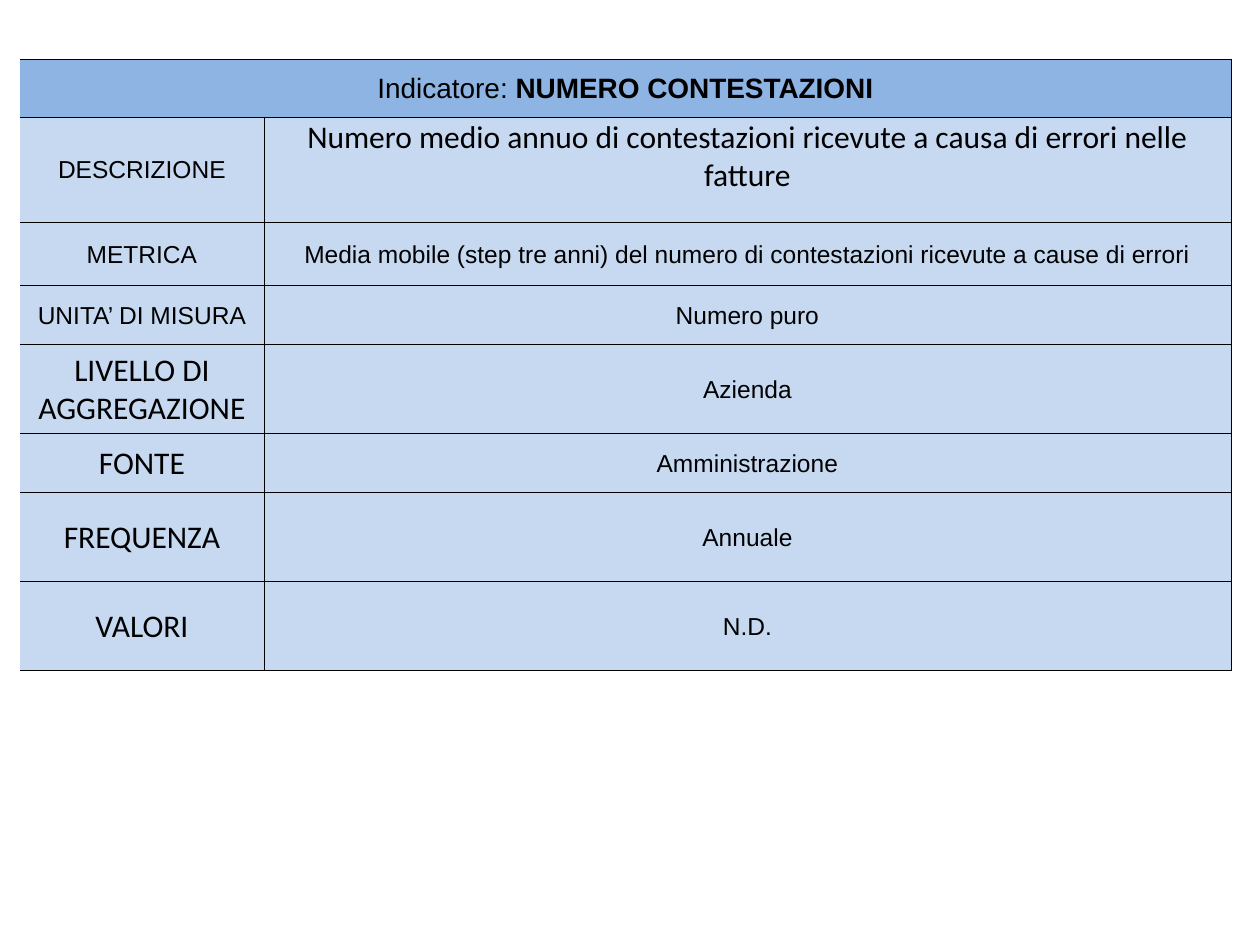
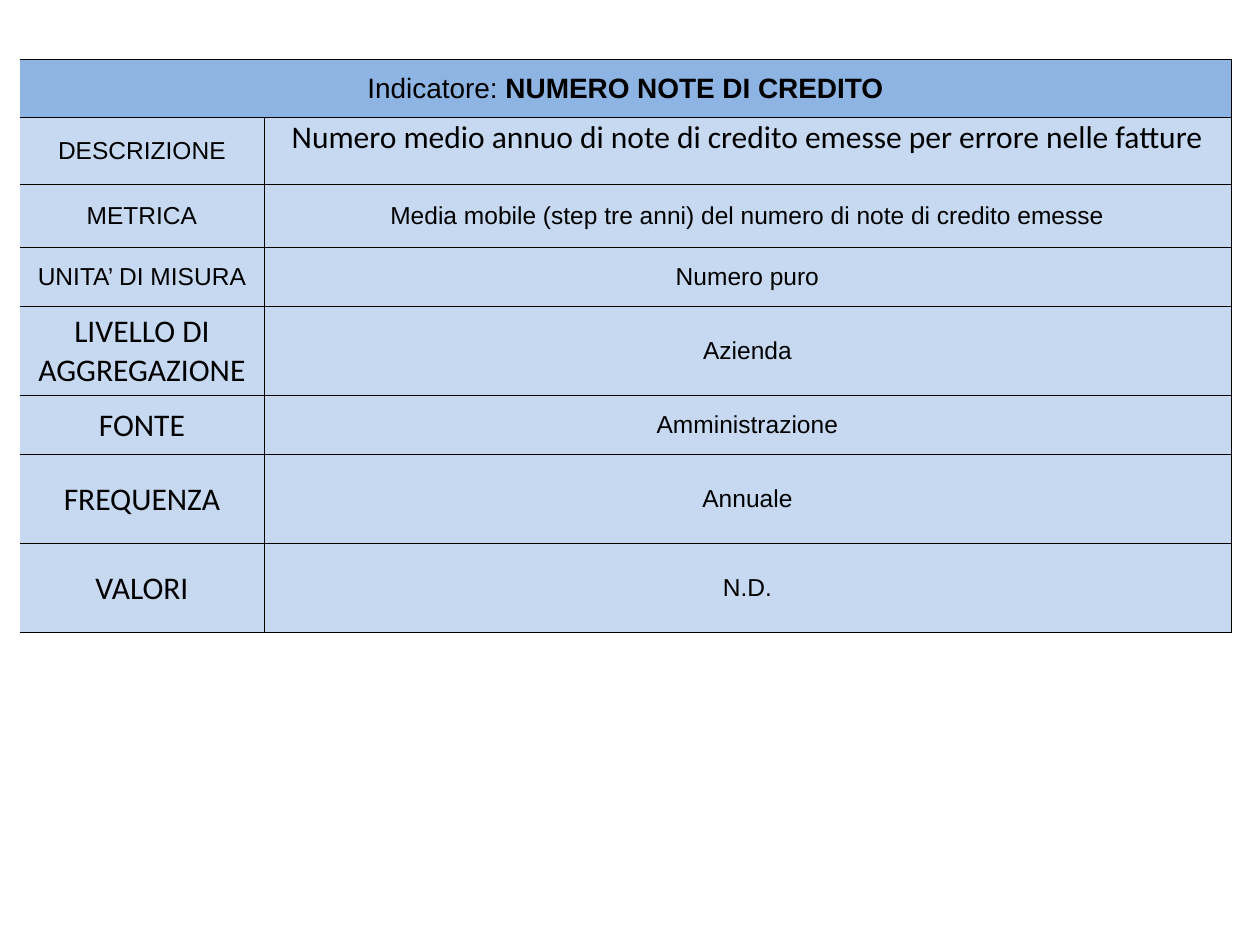
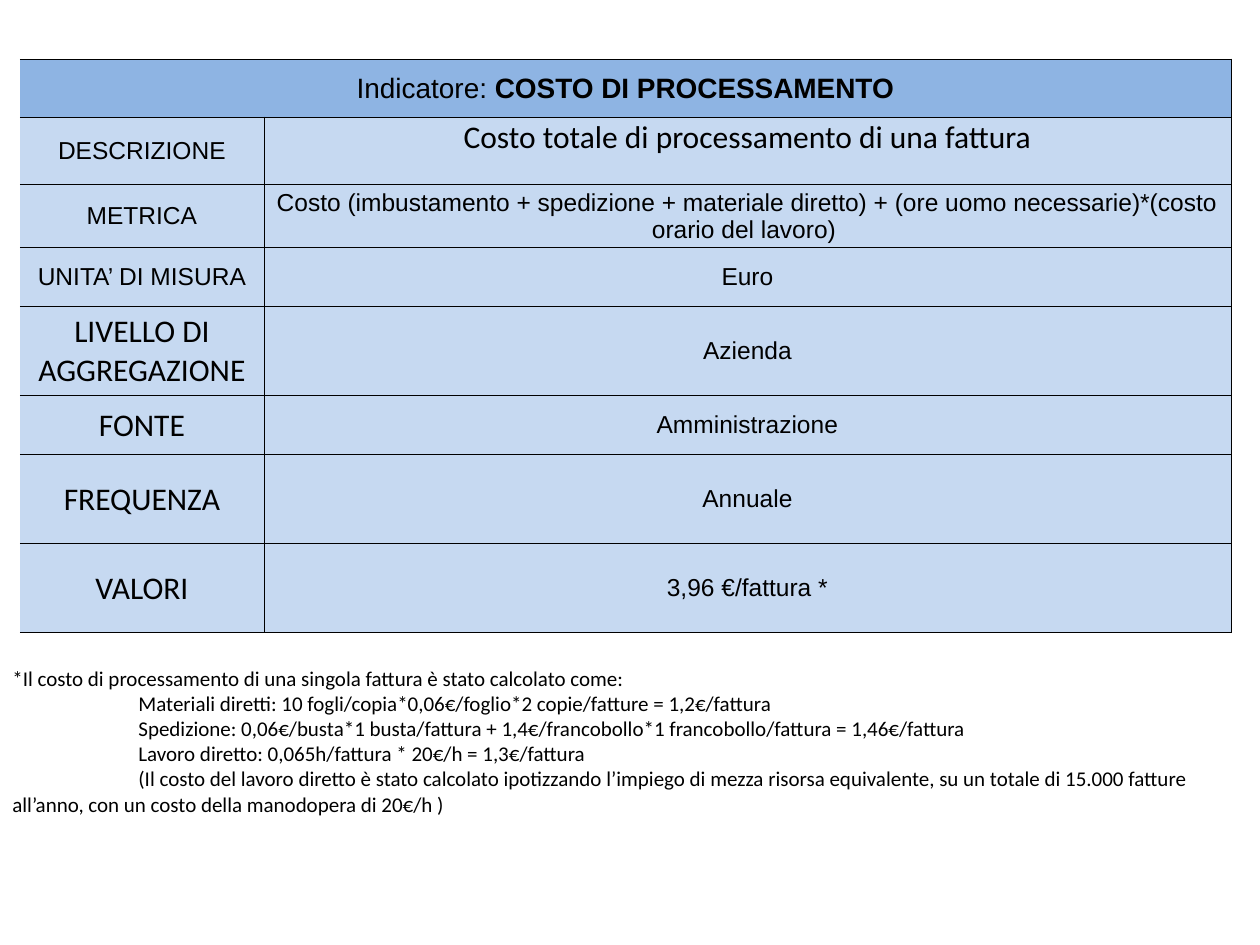
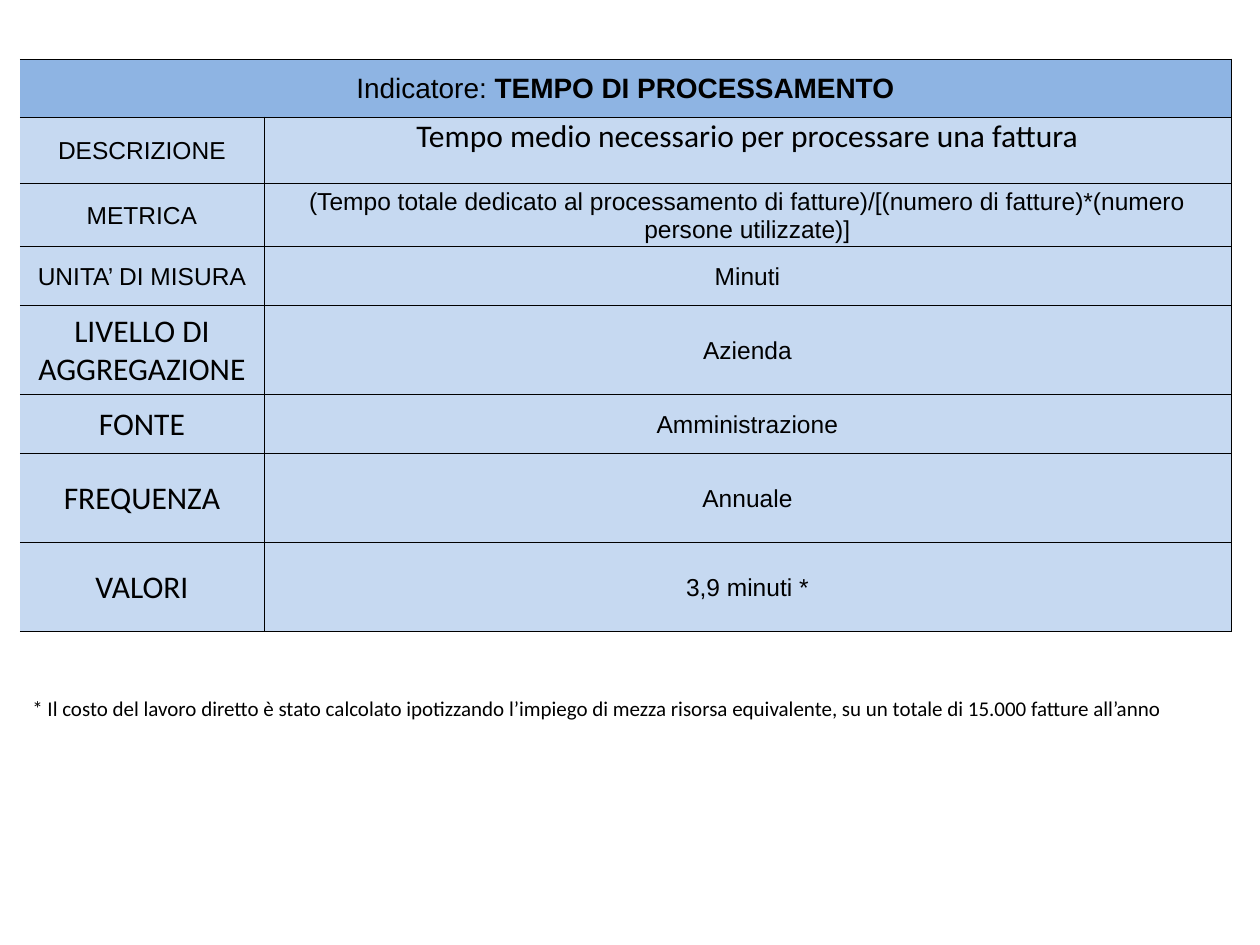
from lxml.etree import SubElement
from pptx import Presentation
from pptx.dml.color import RGBColor
from pptx.enum.text import MSO_ANCHOR, PP_ALIGN
from pptx.oxml.ns import qn
from pptx.util import Pt

PIXEL = 914400 // 126
HEADER_FILL, BODY_FILL, INK = "8EB4E3", "C6D9F1", "000000"
SMALL = {"font": "Arial", "size": 14}
LARGE = {"font": "Calibri", "size": 18}
COLUMN_WIDTHS = (244, 967)
HEADER_HEIGHT = 58
DESCRIPTION_GAP = 28
ROWS = (
    ("DESCRIZIONE", 59, SMALL, LARGE),
    ("METRICA", 63, SMALL, SMALL),
    ("UNITA’ DI MISURA", 59, SMALL, SMALL),
    ("LIVELLO DI AGGREGAZIONE", 89, LARGE, SMALL),
    ("FONTE", 59, LARGE, SMALL),
    ("FREQUENZA", 89, LARGE, SMALL),
    ("VALORI", 89, LARGE, SMALL),
)
INDICATORS = (
    {
        "title": "NUMERO CONTESTAZIONI",
        "description": "Numero medio annuo di contestazioni ricevute a causa di errori nelle fatture",
        "metric": "Media mobile (step tre anni) del numero di contestazioni ricevute a cause di errori",
        "unit": "Numero puro",
        "value": "N.D.",
    },
    {
        "title": "NUMERO NOTE DI CREDITO",
        "description": "Numero medio annuo di note di credito emesse per errore nelle fatture",
        "metric": "Media mobile (step tre anni) del numero di note di credito emesse",
        "unit": "Numero puro",
        "value": "N.D.",
    },
    {
        "title": "COSTO DI PROCESSAMENTO",
        "description": "Costo totale di processamento di una fattura",
        "metric": "Costo (imbustamento + spedizione + materiale diretto) + "
                  "(ore uomo necessarie)*(costo orario del lavoro) ",
        "unit": "Euro",
        "value": "3,96 €/fattura *",
        "note_box": (0, 659, 1221, 204),
        "note": (
            "*Il costo di processamento di una singola fattura è stato calcolato come:",
            "Materiali diretti: 10 fogli/copia*0,06€/foglio*2 copie/fatture = 1,2€/fattura",
            "Spedizione: 0,06€/busta*1 busta/fattura + "
            "1,4€/francobollo*1 francobollo/fattura = 1,46€/fattura",
            "Lavoro diretto: 0,065h/fattura * 20€/h = 1,3€/fattura",
            "(Il costo del lavoro diretto è stato calcolato ipotizzando l’impiego di mezza risorsa "
            "equivalente, su un totale di 15.000 fatture all’anno, con un costo della manodopera di 20€/h )",
        ),
    },
    {
        "title": "TEMPO DI PROCESSAMENTO",
        "description": "Tempo medio necessario per processare una fattura",
        "metric": "(Tempo totale dedicato al processamento di fatture)/"
                  "[(numero di fatture)*(numero persone utilizzate)]",
        "unit": "Minuti",
        "value": "3,9 minuti *",
        "note_box": (20, 689, 1201, 38),
        "note": (
            "* Il costo del lavoro diretto è stato calcolato ipotizzando l’impiego di mezza risorsa "
            "equivalente, su un totale di 15.000 fatture all’anno",
        ),
    },
)


def pixels(length):
    """Turn pixels into EMU."""
    return length * PIXEL


def color(value):
    """Turn a hex string into a colour."""
    return RGBColor.from_string(value)


def add_text(paragraph, text, font="Calibri", size=12, bold=False, align=PP_ALIGN.LEFT, indent=0):
    """Add a formatted run to a paragraph."""
    paragraph.alignment = align
    if indent:
        properties = paragraph._p.get_or_add_pPr()
        properties.set("marL", "0")
        properties.set("indent", str(pixels(indent)))
    run = paragraph.add_run()
    run.text = text
    run.font.name, run.font.size, run.font.bold = font, Pt(size), bold
    run.font.color.rgb = color(INK)


def add_border(cell, side, visible=True):
    """Draw or hide one side of a cell."""
    line = SubElement(cell._tc.get_or_add_tcPr(), qn(f"a:ln{side}"), w=str(Pt(0.5)))
    if visible:
        SubElement(SubElement(line, qn("a:solidFill")), qn("a:srgbClr"), val=INK)
    else:
        SubElement(line, qn("a:noFill"))


def style_cell(cell, fill, open_left):
    """Set margins, borders and fill of a cell."""
    cell.margin_left = cell.margin_right = cell.margin_top = pixels(1)
    cell.margin_bottom = 0
    cell.vertical_anchor = MSO_ANCHOR.MIDDLE
    for side in "LRTB":
        add_border(cell, side, visible=not (open_left and side == "L"))
    cell.fill.solid()
    cell.fill.fore_color.rgb = color(fill)


def add_indicator_table(slide, left, top, indicator):
    """Place the table that describes one indicator."""
    heights = [HEADER_HEIGHT] + [row[1] for row in ROWS]
    box = (left, top, sum(COLUMN_WIDTHS), sum(heights))
    table = slide.shapes.add_table(len(heights), 2, *map(pixels, box)).table
    table.first_row = table.horz_banding = False
    for column, width in zip(table.columns, COLUMN_WIDTHS):
        column.width = pixels(width)
    for index, height in enumerate(heights):
        table.rows[index].height = pixels(height)
        for position in range(2):
            style_cell(table.cell(index, position), BODY_FILL if index else HEADER_FILL, position == 0)

    header = table.cell(0, 0)
    header.merge(table.cell(0, 1))
    title = header.text_frame.paragraphs[0]
    add_text(title, "Indicatore: ", font="Arial", size=16, align=PP_ALIGN.CENTER)
    add_text(title, indicator["title"], font="Arial", size=16, bold=True, align=PP_ALIGN.CENTER)

    values = (indicator["description"], indicator["metric"], indicator["unit"],
              "Azienda", "Amministrazione", "Annuale", indicator["value"])
    for index, ((label, _, label_format, value_format), value) in enumerate(zip(ROWS, values), 1):
        for position, text, style in ((0, label, label_format), (1, value, value_format)):
            paragraph = table.cell(index, position).text_frame.paragraphs[0]
            add_text(paragraph, text, align=PP_ALIGN.CENTER, **style)
    table.cell(1, 1).margin_bottom = pixels(DESCRIPTION_GAP)


def add_note(slide, box, lines):
    """Place a footnote whose later lines are indented."""
    frame = slide.shapes.add_textbox(*map(pixels, box)).text_frame
    frame.word_wrap = True
    for index, line in enumerate(lines):
        paragraph = frame.add_paragraph() if index else frame.paragraphs[0]
        add_text(paragraph, line, indent=126 if index else 0)


def build():
    """Build and save the indicator slides."""
    presentation = Presentation()
    presentation.slide_width, presentation.slide_height = pixels(1260), pixels(945)
    for indicator in INDICATORS:
        slide = presentation.slides.add_slide(presentation.slide_layouts[6])
        add_indicator_table(slide, 20, 59, indicator)
        if "note" in indicator:
            add_note(slide, indicator["note_box"], indicator["note"])
    presentation.save("out.pptx")


build()
